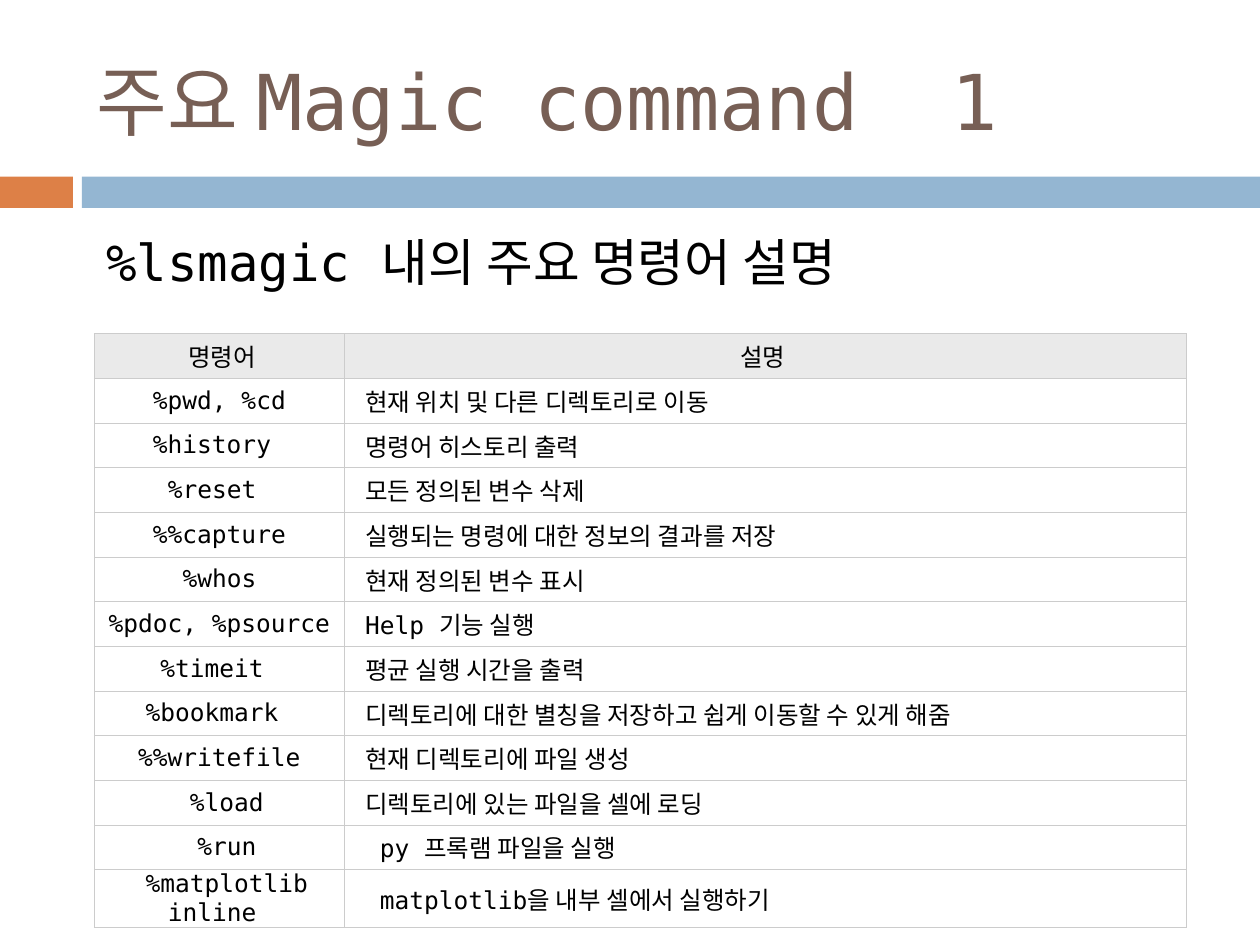
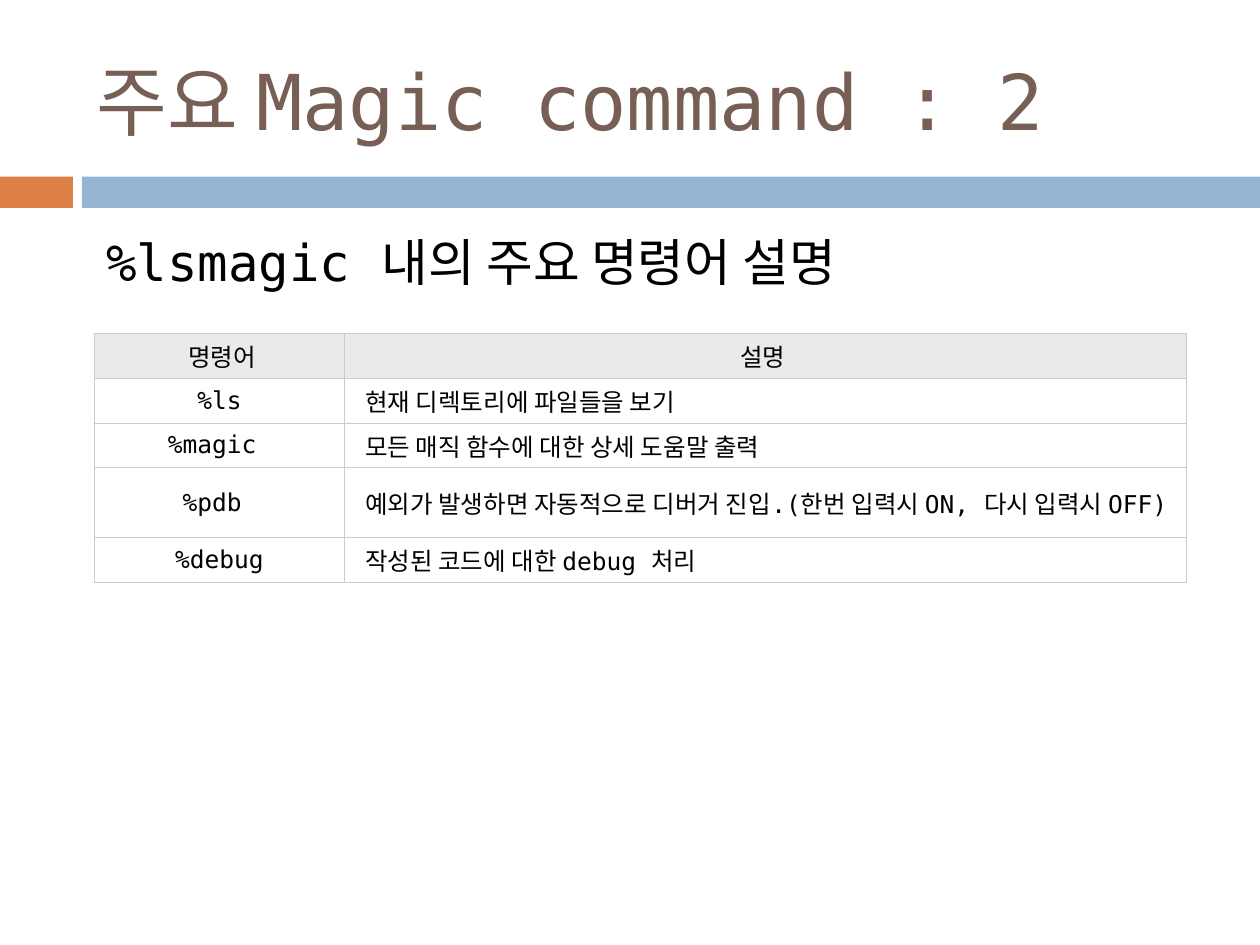
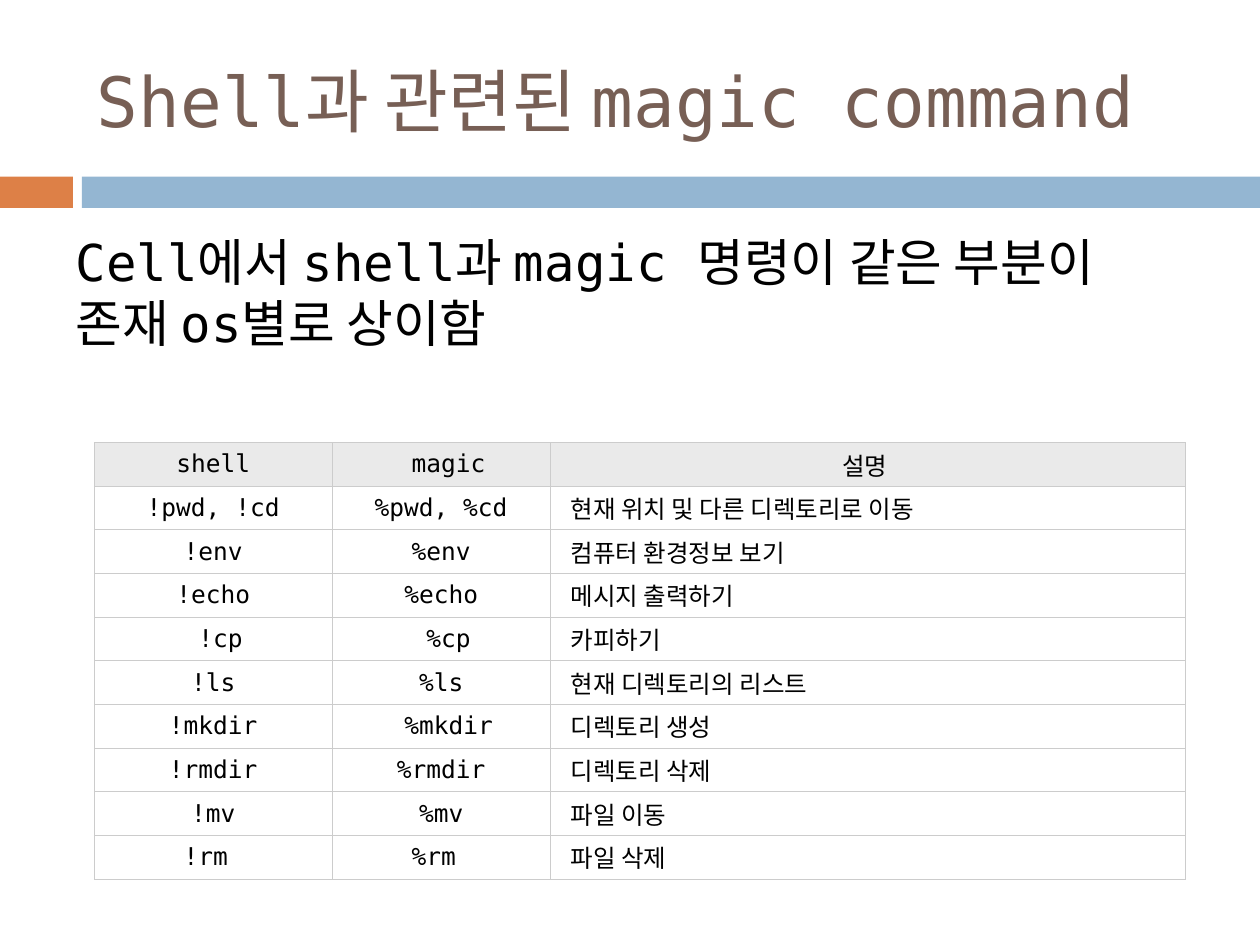
from dataclasses import dataclass

from lxml import etree
from pptx import Presentation
from pptx.dml.color import RGBColor
from pptx.enum.shapes import MSO_SHAPE
from pptx.enum.text import MSO_ANCHOR, MSO_AUTO_SIZE, PP_ALIGN
from pptx.oxml.ns import qn
from pptx.util import Cm, Pt

RECTANGLE = MSO_SHAPE.RECTANGLE
MIDDLE, TOP = MSO_ANCHOR.MIDDLE, MSO_ANCHOR.TOP
LEFT, CENTER = PP_ALIGN.LEFT, PP_ALIGN.CENTER
NO_AUTOFIT = MSO_AUTO_SIZE.NONE


@dataclass(frozen=True)
class Theme:
    font: str = "DejaVu Sans Mono"
    title: str = "775F55"
    text: str = "000000"
    accent: str = "DD8047"
    band: str = "94B6D2"
    header: str = "EAEAEA"
    border: str = "CCCCCC"
    border_width: float = 0.6
    body_size: float = 29
    table_size: float = 14


THEME = Theme()

COMMAND_COLUMNS = (5.05, 16.97)
SHELL_COLUMNS = (4.8, 4.39, 12.8)
LSMAGIC_INTRO = " %lsmagic 내의 주요 명령어 설명"
COMMAND_HEADER = (" 명령어", "설명 ")

# The last column holds descriptions; the ones before it hold commands.
SLIDES = [
    {
        "title": "주요 Magic command  1",
        "title_size": 44,
        "intro": LSMAGIC_INTRO,
        "top": 6.73,
        "columns": COMMAND_COLUMNS,
        "row_height": 0.9,
        "tall_rows": {},
        "rows": [
            COMMAND_HEADER,
            ("%pwd, %cd", "현재 위치 및 다른 디렉토리로 이동"),
            ("%history ", "명령어 히스토리 출력 "),
            ("%reset ", "모든 정의된 변수 삭제 "),
            ("%%capture", "실행되는 명령에 대한 정보의 결과를 저장"),
            ("%whos", "현재 정의된 변수 표시"),
            ("%pdoc, %psource", "Help 기능 실행"),
            ("%timeit ", "평균 실행 시간을 출력 "),
            ("%bookmark ", "디렉토리에 대한 별칭을 저장하고 쉽게 이동할 수 있게 해줌 "),
            ("%%writefile", "현재 디렉토리에 파일 생성"),
            (" %load", "디렉토리에 있는 파일을 셀에 로딩"),
            (" %run", " py 프록램 파일을 실행"),
            (" %matplotlib inline ", " matplotlib을 내부 셀에서 실행하기"),
        ],
    },
    {
        "title": "주요 Magic command : 2",
        "title_size": 44,
        "intro": LSMAGIC_INTRO,
        "top": 6.73,
        "columns": COMMAND_COLUMNS,
        "row_height": 0.9,
        "tall_rows": {3: 1.41},
        "rows": [
            COMMAND_HEADER,
            ("%ls", "현재 디렉토리에 파일들을 보기"),
            ("%magic ", "모든 매직 함수에 대한 상세 도움말 출력 "),
            ("%pdb ", "예외가 발생하면 자동적으로 디버거 진입.(한번 입력시 ON, 다시 입력시 OFF)"),
            ("%debug", "작성된 코드에 대한 debug 처리"),
        ],
    },
    {
        "title": "Shell과 관련된 magic command",
        "title_size": 39.6,
        "intro": "Cell에서 shell과 magic 명령이 같은 부분이 존재 os별로 상이함",
        "top": 8.92,
        "columns": SHELL_COLUMNS,
        "row_height": 0.88,
        "tall_rows": {},
        "rows": [
            ("shell", " magic", "설명 "),
            ("!pwd, !cd", "%pwd, %cd", "현재 위치 및 다른 디렉토리로 이동"),
            ("!env", "%env", "컴퓨터 환경정보 보기"),
            ("!echo", "%echo", "메시지 출력하기"),
            (" !cp", " %cp", "카피하기"),
            ("!ls", "%ls", "현재 디렉토리의 리스트"),
            ("!mkdir", " %mkdir", "디렉토리 생성"),
            ("!rmdir", "%rmdir", "디렉토리 삭제"),
            ("!mv", "%mv", "파일 이동 "),
            ("!rm ", "%rm ", "파일 삭제"),
        ],
    },
]


def write(frame, text, size, color, align=LEFT):
    frame.text = text
    paragraph = frame.paragraphs[0]
    paragraph.alignment = align
    paragraph.font.name = THEME.font
    paragraph.font.size = Pt(size)
    paragraph.font.color.rgb = RGBColor.from_string(color)
    return paragraph


def add_borders(cell):
    properties = cell._tc.get_or_add_tcPr()
    for position, side in enumerate(("a:lnL", "a:lnR", "a:lnT", "a:lnB")):
        line = etree.Element(qn(side), w=str(Pt(THEME.border_width)))
        fill = etree.SubElement(line, qn("a:solidFill"))
        etree.SubElement(fill, qn("a:srgbClr"), val=THEME.border)
        properties.insert(position, line)


prs = Presentation()
prs.slide_width, prs.slide_height = Cm(25.4), Cm(19.05)
layout = prs.slide_layouts[1]

# Shared layout: placeholder areas and the two-part band under the title
title_area, body_area = layout.placeholders[0], layout.placeholders[1]
for area, box in ((title_area, (1.7, 0.64, 22.66, 2.74)),
                  (body_area, (1.27, 4.52, 22.86, 3.3))):
    area.left, area.top, area.width, area.height = map(Cm, box)

slides = [prs.slides.add_slide(layout) for _ in SLIDES]
for left, width, color in ((0, 1.47, THEME.accent), (1.65, 23.75, THEME.band)):
    band = slides[0].shapes.add_shape(RECTANGLE, Cm(left), Cm(3.56), Cm(width), Cm(0.63))
    band.shadow.inherit = False
    band.fill.solid()
    band.fill.fore_color.rgb = RGBColor.from_string(color)
    band.line.fill.background()
    layout.shapes.element.insert(2, band.element)

for slide, content in zip(slides, SLIDES):
    title, intro = slide.shapes.title.text_frame, slide.placeholders[1].text_frame
    for frame, anchor in ((title, MIDDLE), (intro, TOP)):
        frame.auto_size = NO_AUTOFIT
        frame.vertical_anchor = anchor
    write(title, content["title"], content["title_size"], THEME.title)
    lead = write(intro, content["intro"], THEME.body_size, THEME.text)
    lead.space_before = Pt(7)
    lead_properties = lead._p.get_or_add_pPr()
    lead_properties.set("marL", "0")
    lead_properties.set("indent", "0")
    lead_properties.insert_element_before(
        etree.Element(qn("a:buNone")), "a:tabLst", "a:defRPr", "a:extLst")

    rows, columns = content["rows"], content["columns"]
    heights = [content["tall_rows"].get(i, content["row_height"]) for i in range(len(rows))]
    commands = slide.shapes.add_table(
        len(rows), len(columns), Cm(1.9), Cm(content["top"]),
        Cm(sum(columns)), Cm(sum(heights))).table
    commands.first_row = commands.horz_banding = False
    for column, width in zip(commands.columns, columns):
        column.width = Cm(width)
    for row, height in zip(commands.rows, heights):
        row.height = Cm(height)

    for r, texts in enumerate(rows):
        for c, text in enumerate(texts):
            cell = commands.cell(r, c)
            is_header = r == 0
            is_description = not is_header and c == len(columns) - 1
            cell.margin_left = Cm(0.41 if is_description else 0)
            cell.margin_right = cell.margin_top = cell.margin_bottom = 0
            cell.vertical_anchor = MIDDLE
            if is_header:
                cell.fill.solid()
                cell.fill.fore_color.rgb = RGBColor.from_string(THEME.header)
            else:
                cell.fill.background()
            write(cell.text_frame, text, THEME.table_size, THEME.text,
                  LEFT if is_description else CENTER)
            add_borders(cell)

prs.save("out.pptx")
